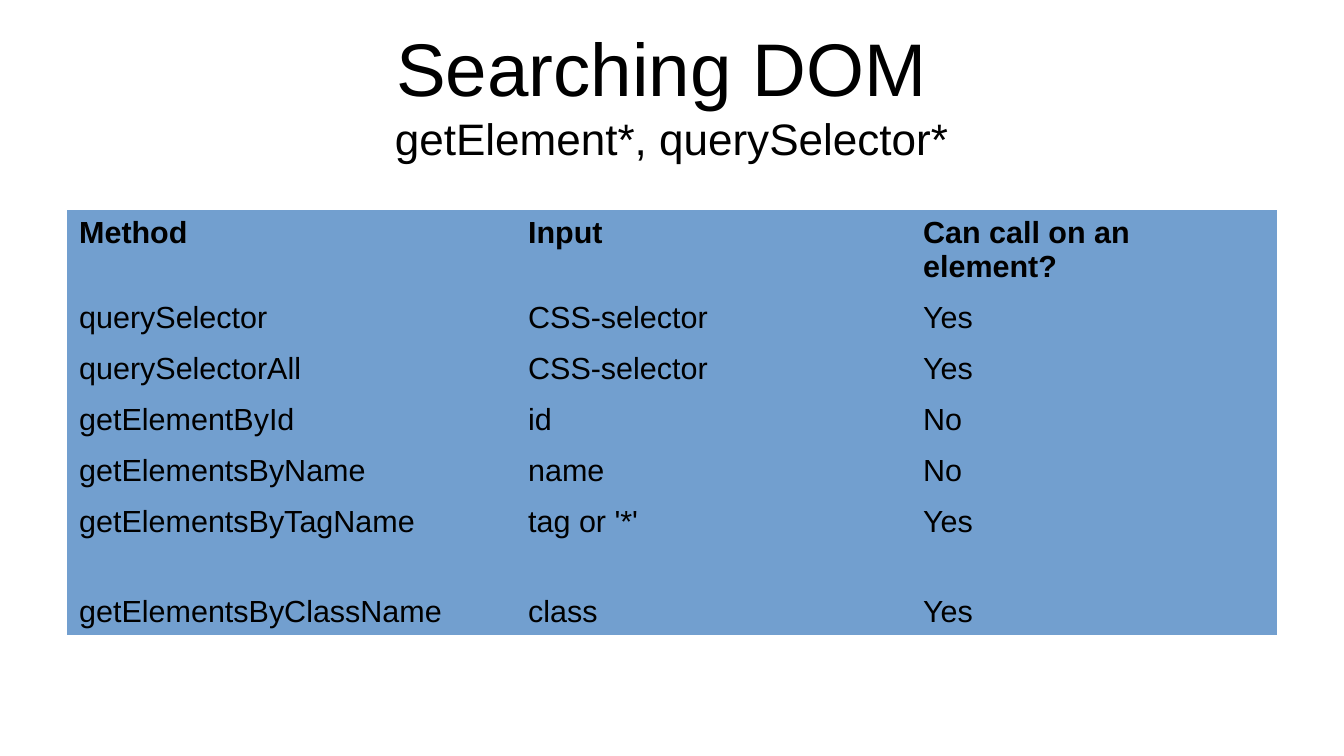
"""Build a slide that compares the methods for searching the DOM."""
from pptx import Presentation
from pptx.dml.color import RGBColor
from pptx.enum.text import MSO_ANCHOR, MSO_AUTO_SIZE, PP_ALIGN
from pptx.oxml.ns import qn
from pptx.util import Emu, Pt

EMU_PER_PX = 7495
FONT = "Arial"
COLORS = {"text": "000000", "cell": "729FCF"}
PLAIN_TABLE_STYLE = "{2D5ABB26-0587-4C30-8999-92F81FD0307C}"
COLUMN_WIDTHS = [449, 395, 366]
ROW_HEIGHTS = [85, 51, 51, 51, 51, 90, 46]
METHODS = [
    ("Method", "Input", "Can call on an element?"),
    ("querySelector", "CSS-selector", "Yes"),
    ("querySelectorAll", "CSS-selector", "Yes"),
    ("getElementById", "id", "No"),
    ("getElementsByName", "name", "No"),
    ("getElementsByTagName", "tag or '*'", "Yes"),
    ("getElementsByClassName", "class", "Yes"),
]


def px(length):
    return Emu(length * EMU_PER_PX)


def color(name):
    return RGBColor.from_string(COLORS[name])


def add_span(para, text, size, bold=False):
    span = para.add_run()
    span.text = text
    span.font.name = FONT
    span.font.size = Pt(size)
    span.font.bold = bold
    span.font.color.rgb = color("text")


def fill_title(title, heading, subheading):
    title.left, title.top, title.width, title.height = map(px, (67, 27, 1210, 133))
    frame = title.text_frame
    frame.margin_left = frame.margin_right = frame.margin_top = frame.margin_bottom = 0
    frame.vertical_anchor = MSO_ANCHOR.MIDDLE
    frame.auto_size = MSO_AUTO_SIZE.NONE
    para = frame.paragraphs[0]
    para.alignment = PP_ALIGN.CENTER
    add_span(para, heading, 44)
    para.add_line_break()
    add_span(para, subheading, 26)


def fill_cell(cell, text, bold):
    cell.fill.solid()
    cell.fill.fore_color.rgb = color("cell")
    add_span(cell.text_frame.paragraphs[0], text, 18, bold)


def add_method_table(page):
    holder = page.shapes.add_table(
        len(ROW_HEIGHTS), len(COLUMN_WIDTHS),
        px(67), px(210), px(sum(COLUMN_WIDTHS)), px(sum(ROW_HEIGHTS)))
    table = holder.table
    table.horz_banding = False
    next(holder.element.iter(qn("a:tableStyleId"))).text = PLAIN_TABLE_STYLE
    for column, width in zip(table.columns, COLUMN_WIDTHS):
        column.width = px(width)
    for index, (row, height, texts) in enumerate(zip(table.rows, ROW_HEIGHTS, METHODS)):
        row.height = px(height)
        for cell, text in zip(row.cells, texts):
            fill_cell(cell, text, bold=index == 0)


def main():
    deck = Presentation()
    deck.slide_width, deck.slide_height = px(1344), px(756)
    page = deck.slides.add_slide(deck.slide_layouts[5])
    fill_title(page.shapes.title, "Searching DOM ", "getElement*, querySelector*")
    add_method_table(page)
    deck.save("out.pptx")


if __name__ == "__main__":
    main()
